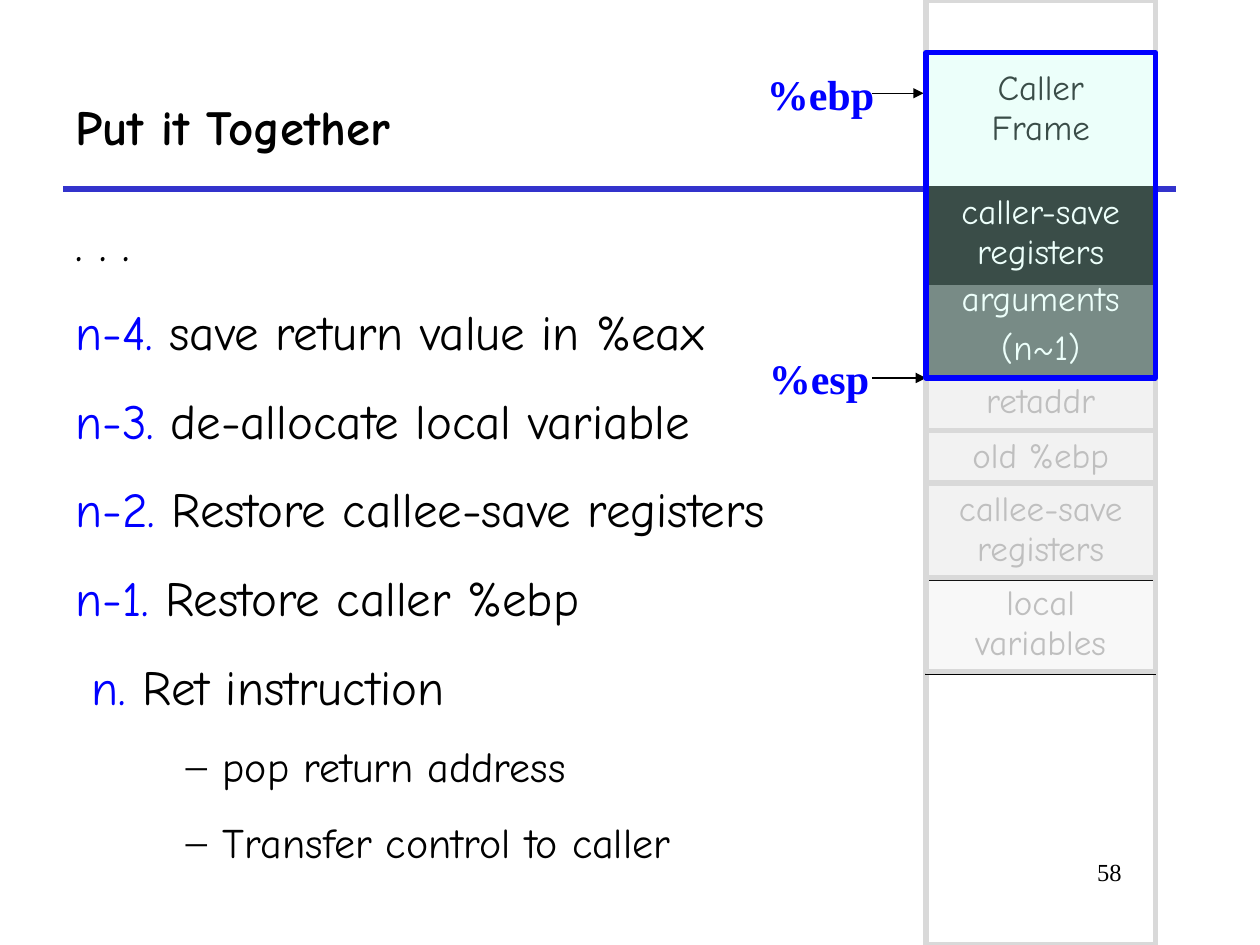
from dataclasses import dataclass
from itertools import accumulate
from typing import Optional

from lxml.etree import SubElement
from pptx import Presentation
from pptx.dml.color import RGBColor
from pptx.enum.shapes import MSO_CONNECTOR as Conn, MSO_SHAPE as Shape
from pptx.enum.text import MSO_ANCHOR as Anchor, MSO_AUTO_SIZE as AutoSize, PP_ALIGN as Align
from pptx.oxml.ns import qn
from pptx.util import Cm, Pt

COLORS = {
    "ink": "000000", "white": "FFFFFF", "blue": "0000FF", "rule": "3333CC",
    "frame": "D9D9D9", "faded": "BFBFBF", "pale": "F2F2F2",
    "args": "595959", "caller": "C2FFF0",
}
BODY_FONT, LABEL_FONT = "Comic Neue", "Times New Roman"
STACK_X, STACK_W = 18.67, 4.62
CALLER_TOP, CALLER_H = 1.06, 6.56
CALLEE_TOP = CALLER_TOP + CALLER_H
SLOT_HEIGHTS = [1.06, 1.06, 1.9, 1.9]
SLOT_TOPS = list(accumulate(SLOT_HEIGHTS[:-1], initial=CALLEE_TOP))


@dataclass
class StackCell:
    lines: list[str]
    top: float
    height: float
    text: str
    fill: Optional[str] = None
    alpha: Optional[int] = None
    margin_top: float = 0.13


@dataclass
class Step:
    label: str
    text: str


@dataclass
class Pointer:
    text: str
    x: float
    y: float
    width: float
    tip_x: float
    tip_y: float


CELLS = [
    StackCell(["arguments", "(n~1)"], 5.51, 2.11, "white", "args"),
    StackCell(["caller-save registers"], 3.76, 1.96, "white", "ink"),
    StackCell(["old %ebp"], SLOT_TOPS[1], 1.09, "faded", "pale"),
    StackCell(["retaddr"], 7.57, 1.09, "faded", "pale"),
    StackCell(["Caller\vFrame"], CALLER_TOP, 7.62, "ink", margin_top=0.33),
    StackCell(["callee-save registers"], SLOT_TOPS[2], 1.96, "faded", "pale"),
    StackCell(["local variables"], SLOT_TOPS[3], 1.9, "faded", "faded", 10),
]
STEPS = [
    Step("", ". . ."),
    Step("n-4. ", "save return value in %eax"),
    Step("n-3. ", "de-allocate local variable"),
    Step("n-2. ", "Restore callee-save registers"),
    Step("n-1. ", "Restore caller %ebp"),
    Step(" n. ", "Ret instruction"),
]
SUBSTEPS = ["pop return address", "Transfer control to caller"]
POINTERS = [
    Pointer("%ebp", 15.21, 1.26, 2.67, 18.62, 1.88),
    Pointer("%esp", 15.25, 6.98, 2.6, STACK_X, CALLEE_TOP),
]


def rgb(name: str) -> RGBColor:
    return RGBColor.from_string(COLORS[name])


def set_font(target, name: str, size: float, color: str, bold: bool = False) -> None:
    font = target.font
    font.name, font.size, font.bold = name, Pt(size), bold
    font.color.rgb = rgb(color)


def set_fill(target, element, color: Optional[str], alpha: Optional[int]) -> None:
    if color is None:
        target.fill.background()
        return
    target.fill.solid()
    target.fill.fore_color.rgb = rgb(color)
    if alpha is not None:
        clr = element.find(qn("a:solidFill")).find(qn("a:srgbClr"))
        SubElement(clr, qn("a:alpha")).set("val", str(alpha * 1000))


def add_frame(slide, top: float, height: float, line: str,
              fill: Optional[str] = None, alpha: Optional[int] = None) -> None:
    sp = slide.shapes.add_shape(Shape.RECTANGLE, Cm(STACK_X), Cm(top),
                                Cm(STACK_W), Cm(height))
    sp.shadow.inherit = False
    set_fill(sp, sp._element.spPr, fill, alpha)
    sp.line.color.rgb = rgb(line)
    sp.line.width = Pt(3)


def add_line(slide, x1: float, x2: float, y: float, color: str, width: float,
             arrow: bool = False) -> None:
    cxn = slide.shapes.add_connector(Conn.STRAIGHT, Cm(x1), Cm(y), Cm(x2), Cm(y))
    cxn.line.color.rgb = rgb(color)
    cxn.line.width = Pt(width)
    if arrow:
        SubElement(cxn.line._get_or_add_ln(), qn("a:tailEnd")).set("type", "triangle")
    SubElement(cxn._element.spPr, qn("a:effectLst"))


def add_text(slide, x: float, y: float, w: float, h: float, wrap: bool = True):
    tf = slide.shapes.add_textbox(Cm(x), Cm(y), Cm(w), Cm(h)).text_frame
    tf.word_wrap = wrap
    if not wrap:
        tf.auto_size = AutoSize.SHAPE_TO_FIT_TEXT
    return tf


def add_borders(tc_pr) -> None:
    for i, side in enumerate(("a:lnL", "a:lnR", "a:lnT", "a:lnB")):
        ln = SubElement(tc_pr, qn(side))
        ln.set("w", str(Pt(1.08)))
        fill = SubElement(ln, qn("a:solidFill"))
        SubElement(fill, qn("a:srgbClr")).set("val", COLORS["ink"])
        tc_pr.insert(i, ln)


def add_cell(slide, item: StackCell) -> None:
    table = slide.shapes.add_table(1, 1, Cm(STACK_X), Cm(item.top),
                                   Cm(STACK_W), Cm(item.height)).table
    table.first_row = table.horz_banding = False
    cell = table.cell(0, 0)
    cell.margin_top = Cm(item.margin_top)
    tc_pr = cell._tc.get_or_add_tcPr()
    set_fill(cell, tc_pr, item.fill, item.alpha)
    add_borders(tc_pr)
    tf = cell.text_frame
    for i, line in enumerate(item.lines):
        p = tf.add_paragraph() if i else tf.paragraphs[0]
        p.text = line
        p.alignment = Align.CENTER
        p.space_before = Pt(5 if i else 0)
        set_font(p, BODY_FONT, 20, item.text)


def add_steps(slide) -> None:
    tf = add_text(slide, 1.27, 3.81, 24.13, 14.17)
    for i, step in enumerate(STEPS):
        p = tf.add_paragraph() if i else tf.paragraphs[0]
        p.line_spacing = 1.3
        p.space_before = Pt(7 if i else 0)
        for text, color in ((step.label, "blue"), (step.text, "ink")):
            if text:
                r = p.add_run()
                r.text = text
                set_font(r, BODY_FONT, 28, color)
    for text in SUBSTEPS:
        p = tf.add_paragraph()
        p.text = text
        p.level = 1
        p.line_spacing = 1.3
        p.space_before = Pt(6)
        p_pr = p._p.get_or_add_pPr()
        p_pr.set("marL", str(Cm(2.97)))
        p_pr.set("indent", str(-Cm(0.74)))
        SubElement(p_pr, qn("a:buFont")).set("typeface", LABEL_FONT)
        SubElement(p_pr, qn("a:buChar")).set("char", "–")
        set_font(p, BODY_FONT, 24, "ink")


def add_pointer(slide, item: Pointer) -> None:
    p = add_text(slide, item.x, item.y, item.width, 1.27, wrap=False).paragraphs[0]
    p.text = item.text
    set_font(p, LABEL_FONT, 24, "blue", bold=True)
    add_line(slide, 17.58, item.tip_x, item.tip_y, "ink", 0.75, arrow=True)


def main() -> None:
    prs = Presentation()
    prs.slide_width, prs.slide_height = Cm(25.4), Cm(19.05)
    slide = prs.slides.add_slide(prs.slide_layouts[5])

    title = slide.shapes.title
    title.left, title.top, title.width, title.height = Cm(1.27), Cm(1.27), Cm(22.43), Cm(2.54)
    title.text_frame.vertical_anchor = Anchor.MIDDLE
    p = title.text_frame.paragraphs[0]
    p.text = "Put it Together"
    p.alignment = Align.LEFT
    set_font(p, BODY_FONT, 28, "ink", bold=True)

    add_line(slide, 1.27, 23.7, 3.81, "rule", 3)
    add_frame(slide, 0, 19.05, "frame")
    p = add_text(slide, 19.25, 17.15, 3.61, 1.27).paragraphs[0]
    p.text = "58"
    p.alignment = Align.RIGHT
    set_font(p, LABEL_FONT, 14, "ink")

    add_steps(slide)
    for item in CELLS:
        add_cell(slide, item)
    for item in POINTERS:
        add_pointer(slide, item)
    for top, height in zip(SLOT_TOPS, SLOT_HEIGHTS):
        add_frame(slide, top, height, "frame")
    add_frame(slide, CALLER_TOP, CALLER_H, "blue", "caller", 30)
    prs.save("out.pptx")


if __name__ == "__main__":
    main()
